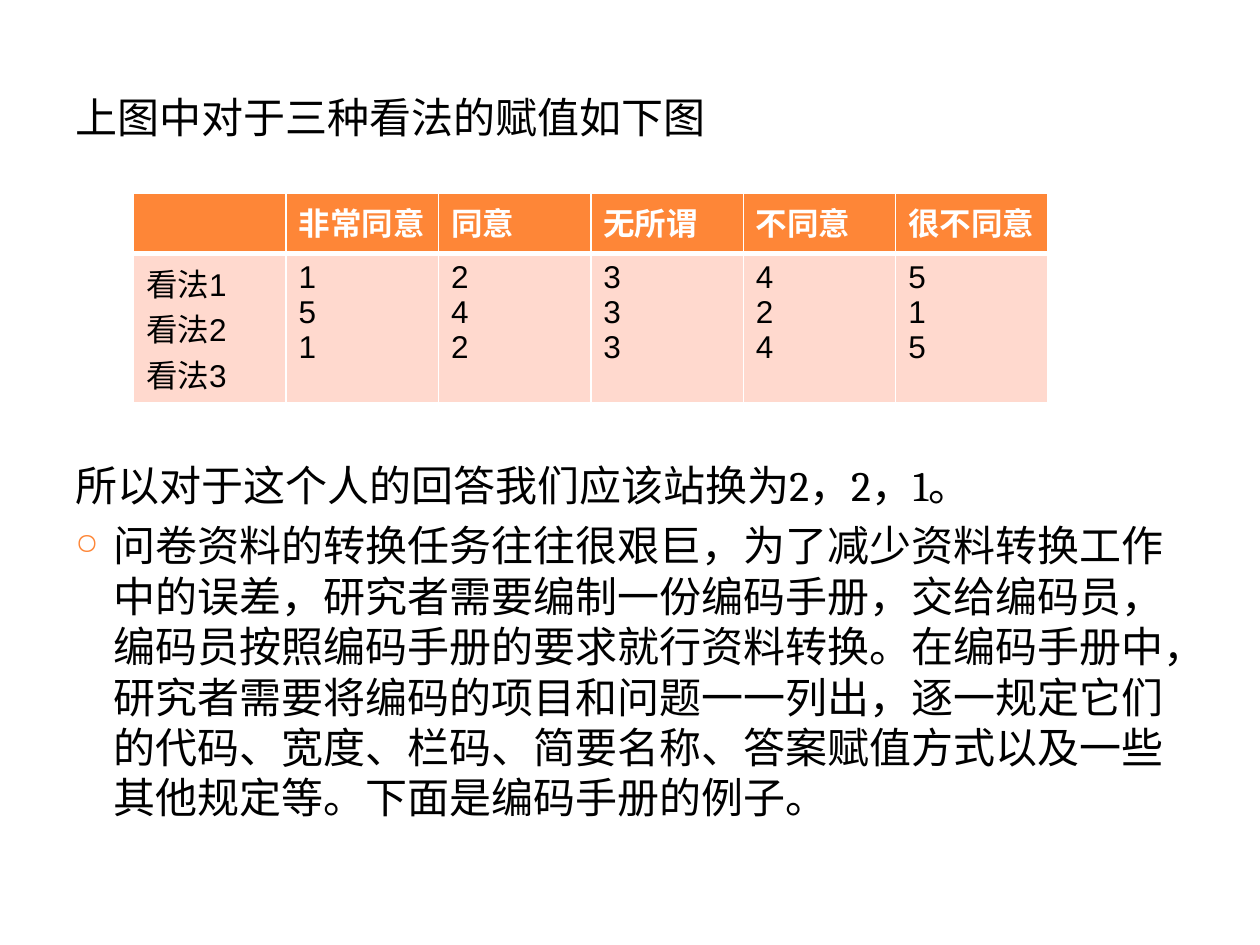
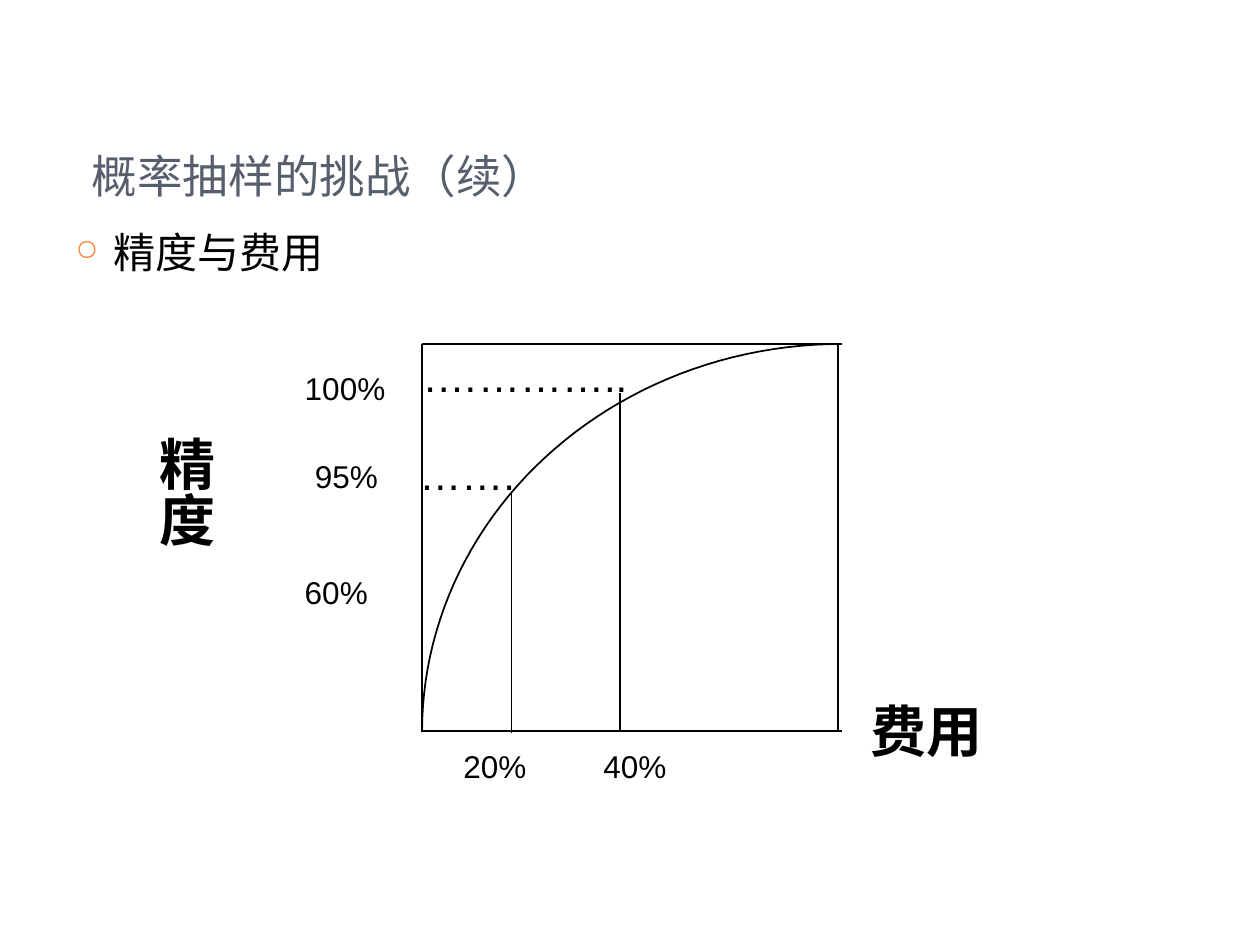
"""Builds two slides on coding answers and on precision against cost."""
from math import cos, sin, pi
from lxml.etree import SubElement as Sub
from pptx import Presentation
from pptx.dml.color import RGBColor as RGB
from pptx.enum.shapes import MSO_CONNECTOR as CONN
from pptx.enum.text import MSO_ANCHOR as ANCHOR, MSO_AUTO_SIZE as AUTO, PP_ALIGN as ALIGN
from pptx.oxml.ns import qn
from pptx.util import Pt

PX = 9144
HUE = {"ink": "000000", "title": "575F6D", "accent": "FE8637", "pale": "FFD9CE", "white": "FFFFFF"}


def style(par, size, face, hue="ink", bold=False):
    """Format every run of a paragraph."""
    for run in par.runs:
        font = run.font
        font.size, font.name, font.bold = Pt(size), face, bold
        font.color.rgb = RGB.from_string(HUE[hue])


def write(slide, box, lines, size=18, face="Arial", bold=False, wrap=True):
    """Add a text box from (text, gap, bullet) lines."""
    frame = slide.shapes.add_textbox(*[n * PX for n in box]).text_frame
    frame.word_wrap = wrap
    for i, (text, gap, dot) in enumerate(lines):
        par = frame.add_paragraph() if i else frame.paragraphs[0]
        par.text = text
        if gap:
            par.space_before = Pt(gap)
        if dot:
            ppr = par._p.get_or_add_pPr()
            ppr.set("marL", str(30 * PX))
            ppr.set("indent", str(-30 * PX))
            Sub(Sub(ppr, qn("a:buClr")), qn("a:srgbClr"), val=HUE["accent"])
            Sub(ppr, qn("a:buSzPct"), val="70000")
            Sub(ppr, qn("a:buChar"), char="○")
        style(par, size, face, bold=bold)
    return frame


deck = Presentation()
deck.slide_width, deck.slide_height = 1000 * PX, 750 * PX

code = deck.slides.add_slide(deck.slide_layouts[6])
write(code, (50, 68, 900, 602), [
    ("上图中对于三种看法的赋值如下图", 0, False),
    ("所以对于这个人的回答我们应该站换为2，2，1。", 181, False),
    ("问卷资料的转换任务往往很艰巨，为了减少资料转换工作中的误差，研究者需要编制一份编码手册，"
     "交给编码员，编码员按照编码手册的要求就行资料转换。在编码手册中，研究者需要将编码的项目和问题"
     "一一列出，逐一规定它们的代码、宽度、栏码、简要名称、答案赋值方式以及一些其他规定等。"
     "下面是编码手册的例子。", 6, True),
], 24, "Cambria")

heads = ["", "非常同意", "同意", "无所谓", "不同意", "很不同意"]
marks = ["看法1\n看法2\n看法3", "1\n5\n1", "2\n4\n2", "3\n3\n3", "4\n2\n4", "5\n1\n5"]
grid = code.shapes.add_table(2, 6, 106 * PX, 153 * PX, 726 * PX, 167 * PX).table
grid.rows[0].height, grid.rows[1].height = 48 * PX, 119 * PX
for r, texts in enumerate([heads, marks]):
    for c, text in enumerate(texts):
        cell = grid.cell(r, c)
        cell.text_frame.text = text
        for side in "LRTB":
            thick = 3 if (r, side) in [(0, "B"), (1, "T")] else 1
            edge = Sub(cell._tc.get_or_add_tcPr(), qn("a:ln" + side), w=str(Pt(thick)))
            Sub(Sub(edge, qn("a:solidFill")), qn("a:srgbClr"), val=HUE["white"])
        cell.fill.solid()
        cell.fill.fore_color.rgb = RGB.from_string(HUE["pale" if r else "accent"])
        for par in cell.text_frame.paragraphs:
            style(par, 18, "Arial", "ink" if r else "white", not r)

cost = deck.slides.add_slide(deck.slide_layouts[5])
title = cost.shapes.title
title.left, title.top, title.width, title.height = [n * PX for n in (63, 115, 875, 51)]
frame = title.text_frame
frame.text = "概率抽样的挑战（续）"
frame.auto_size, frame.vertical_anchor = AUTO.NONE, ANCHOR.BOTTOM
frame.paragraphs[0].alignment = ALIGN.LEFT
style(frame.paragraphs[0], 26, "Cambria", "title")

write(cost, (50, 175, 817, 533), [("精度与费用", 0, True)], 24, "Cambria")
axis = write(cost, (106, 336, 73, 125), [("精度", 0, False)], 32, bold=True)
axis._txBody.bodyPr.set("vert", "eaVert")
write(cost, (681, 548, 142, 63), [("费用", 0, False)], 32, bold=True)
for text, x, y, wide in [("100%", 232, 288, 99), ("95%", 240, 358, 79), ("60%", 232, 450, 79),
                         ("20%", 358, 588, 82), ("40%", 469, 588, 79)]:
    write(cost, (x, y, wide, 40), [(text, 0, False)])
for text, x, y, wide in [("…….", 323, 351, 114), (".…………..", 327, 273, 181)]:
    write(cost, (x, y, wide, 50), [(text, 0, False)], 24, wrap=False)

left, top, right, base = 335, 273, 668, 581
for ends in [(left, top, right, top), (left, 580, right, 580), (left, top, left, base),
             (665, top, 665, base), (492, 312, 492, 579), (406, 391, 406, 582)]:
    line = cost.shapes.add_connector(CONN.STRAIGHT, *[n * PX for n in ends])
    line.line.color.rgb = RGB.from_string(HUE["ink"])
    line.line.width = Pt(1)
    Sub(line._element.spPr, qn("a:effectLst"))

turns = [pi / 2 * i / 48 for i in range(49)]
dots = [((right - (right - left) * cos(t)) * PX, (base - (base - top) * sin(t)) * PX) for t in turns]
path = cost.shapes.build_freeform(*dots[0])
path.add_line_segments(dots[1:], close=False)
curve = path.convert_to_shape()
curve.shadow.inherit = False
curve.fill.background()
curve.line.color.rgb = RGB.from_string(HUE["ink"])
curve.line.width = Pt(1)

deck.save("out.pptx")
